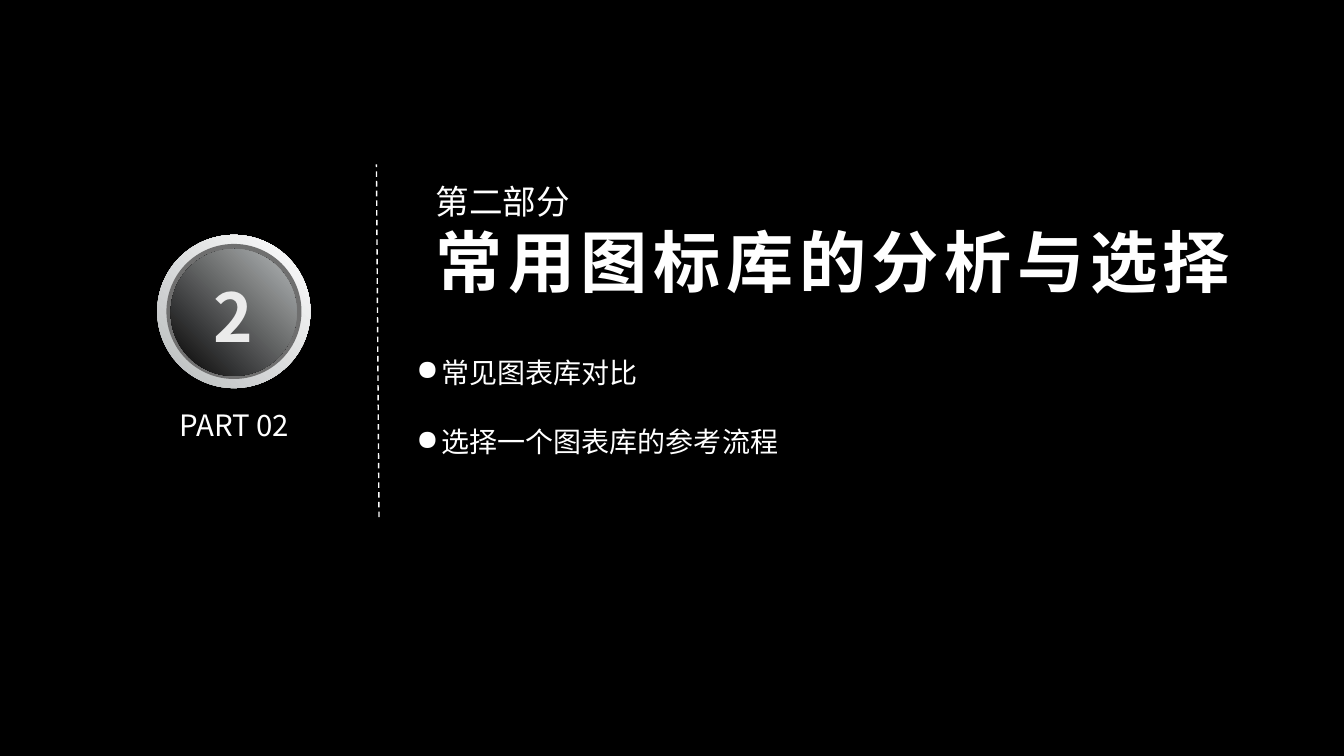
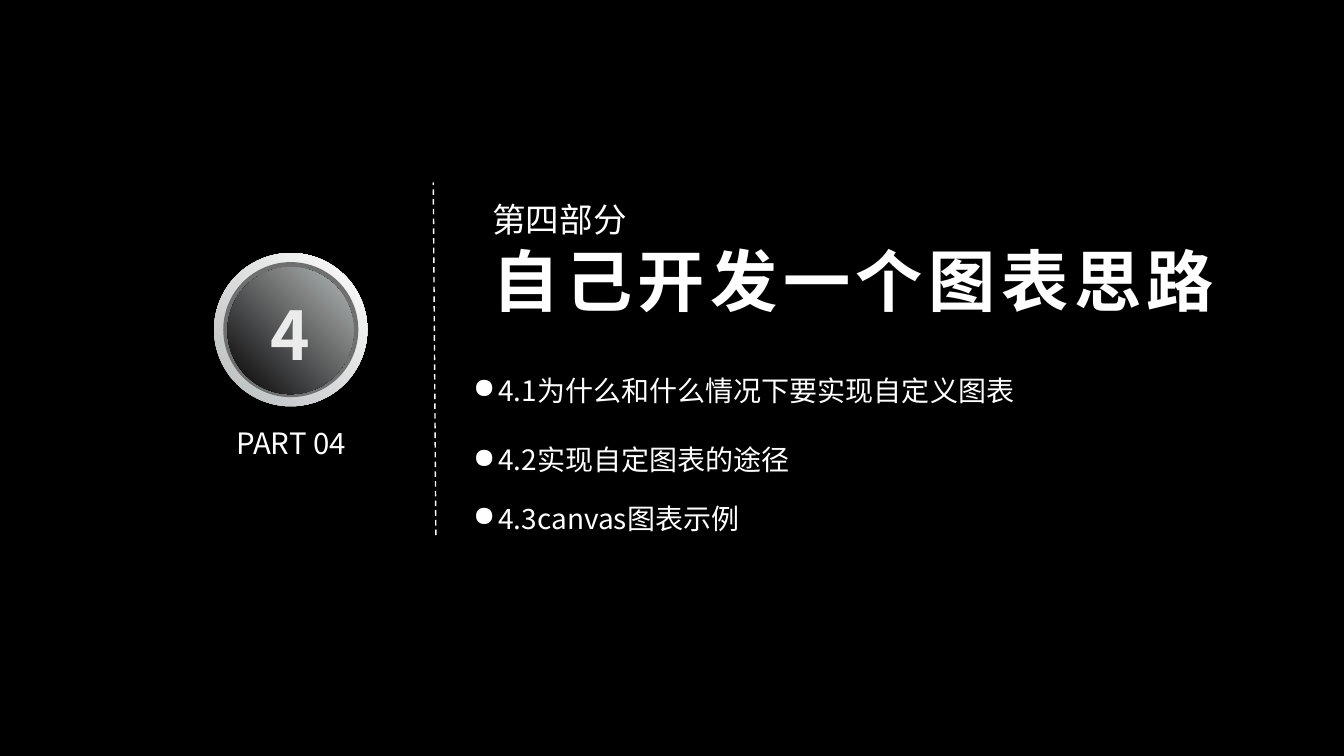
from dataclasses import dataclass

from lxml import etree
from pptx import Presentation
from pptx import util as u
from pptx.dml.color import RGBColor
from pptx.enum import dml, shapes, text
from pptx.oxml.ns import qn

# Shared look
COLOURS = {
    "black": "000000",
    "white": "FFFFFF",
    "silver": "B8BBBC",
    "rim": "6F6F6F",
    "digit": "EBEBEB",
}
FONT = "Noto Sans CJK SC"
WIDTH, HEIGHT = u.Inches(13.33), u.Inches(7.5)
TITLE_ONLY = 5
TEXT_COLUMN = 19.28


@dataclass(frozen=True)
class Area:
    """Percentages of the slide's width and height."""
    left: float
    top: float
    width: float = 0
    height: float = 0

    def inside(self, origin: "Area") -> "Area":
        return Area(origin.left + self.left, origin.top + self.top,
                    self.width, self.height)

    def lengths(self) -> tuple[int, int, int, int]:
        return (round(WIDTH * self.left / 100), round(HEIGHT * self.top / 100),
                round(WIDTH * self.width / 100), round(HEIGHT * self.height / 100))


@dataclass(frozen=True)
class Disc:
    area: Area
    colours: tuple[str, ...]


@dataclass(frozen=True)
class Style:
    size: int
    colour: str = "white"
    bold: bool = False
    spacing: int = 0
    align: text.PP_ALIGN = text.PP_ALIGN.LEFT


@dataclass(frozen=True)
class Section:
    origin: Area
    number: int
    label: str
    heading: str
    topics: tuple[str, ...]


# Places are relative to the medal's top left corner
DISCS = (
    Disc(Area(0, 0, 11.4, 20.27), ("silver", "white")),
    Disc(Area(0.68, 1.2, 10.05, 17.87), ("rim",)),
    Disc(Area(1, 1.87, 9.38, 16.8), ("black", "silver")),
)
DIGIT = Area(1, 4.4, 9.38, 12.53)
CAPTION = Area(0.78, 22.67, 9.9, 4.8)
DIVIDER = (Area(16.5, 37.33), Area(16.31, -9.33))
TOPIC_TOPS = (15.87, 25.07, 32.8)

CENTRE = text.PP_ALIGN.CENTER
DIGIT_STYLE = Style(48, "digit", bold=True, align=CENTRE)
CAPTION_STYLE = Style(21, align=CENTRE)
LABEL_STYLE = Style(24)
HEADING_STYLE = Style(48, bold=True, spacing=400)
TOPIC_STYLE = Style(20)

SECTIONS = (
    Section(Area(11.7, 31.07), 2, "第二部分", "常用图标库的分析与选择",
            ("常见图表库对比", "选择一个图表库的参考流程")),
    Section(Area(15.93, 33.47), 4, "第四部分", "自己开发一个图表思路",
            ("4.1为什么和什么情况下要实现自定义图表", "4.2实现自定图表的途径",
             "4.3canvas图表示例")),
)


def colour(name: str) -> RGBColor:
    return RGBColor.from_string(COLOURS[name])


# Text
def write(paragraph, words: str, style: Style) -> None:
    paragraph.text = words
    paragraph.alignment = style.align
    paragraph.line_spacing = 1.0
    paragraph.space_before = u.Pt(0)
    font = paragraph.font
    font.size, font.bold, font.name = u.Pt(style.size), style.bold, FONT
    font.color.rgb = colour(style.colour)
    defaults = paragraph._p.pPr.find(qn("a:defRPr"))
    etree.SubElement(defaults, qn("a:ea")).set("typeface", FONT)
    if style.spacing:
        defaults.set("spc", str(style.spacing))


def indent(paragraph, left: float, first: float = 0) -> None:
    properties = paragraph._p.get_or_add_pPr()
    properties.set("marL", str(u.Inches(left)))
    properties.set("indent", str(u.Inches(first)))


def add_bullet(paragraph) -> None:
    indent(paragraph, 0.25, -0.25)
    bullet = etree.Element(qn("a:buChar"))
    bullet.set("char", "●")
    paragraph._p.pPr.find(qn("a:defRPr")).addprevious(bullet)


def set_frame(frame, across: float = 0, down: float = 0, wrap: bool = True) -> None:
    frame.auto_size = text.MSO_AUTO_SIZE.NONE
    frame.word_wrap = wrap
    frame.vertical_anchor = text.MSO_ANCHOR.MIDDLE
    frame.margin_left = frame.margin_right = u.Inches(across)
    frame.margin_top = frame.margin_bottom = u.Inches(down)


def add_text(parent, area: Area, words: str, style: Style):
    box = parent.add_textbox(*area.lengths())
    set_frame(box.text_frame)
    paragraph = box.text_frame.paragraphs[0]
    write(paragraph, words, style)
    return paragraph


# Parts of a section page
def add_disc(parent, disc: Disc, origin: Area) -> None:
    oval = parent.add_shape(shapes.MSO_SHAPE.OVAL, *disc.area.inside(origin).lengths())
    oval.shadow.inherit = False
    oval.line.fill.background()
    if len(disc.colours) == 1:
        oval.fill.solid()
        oval.fill.fore_color.rgb = colour(disc.colours[0])
        return
    oval.fill.gradient()
    oval.fill.gradient_angle = 45
    for position, (stop, name) in enumerate(zip(oval.fill.gradient_stops, disc.colours)):
        stop.position = position
        stop.color.rgb = colour(name)


def add_medal(page, section: Section) -> None:
    medal = page.shapes.add_group_shape().shapes
    for disc in DISCS:
        add_disc(medal, disc, section.origin)
    add_text(medal, DIGIT.inside(section.origin), str(section.number), DIGIT_STYLE)


def add_divider(page, origin: Area) -> None:
    start, end = (point.inside(origin).lengths()[:2] for point in DIVIDER)
    divider = page.shapes.add_connector(shapes.MSO_CONNECTOR.STRAIGHT, *start, *end)
    divider.line.color.rgb = colour("white")
    divider.line.width = u.Pt(1)
    divider.line.dash_style = dml.MSO_LINE.DASH
    etree.SubElement(divider._element.spPr, qn("a:effectLst"))


def set_title(page, section: Section) -> None:
    title = page.shapes.title
    # The box is as wide as its heading plus the margins
    area = Area(TEXT_COLUMN, -9.07, 5.48 * len(section.heading) + 1.92, 19.73)
    title.left, title.top, title.width, title.height = area.inside(section.origin).lengths()
    frame = title.text_frame
    set_frame(frame, 0.13, 0.07, wrap=False)
    label = frame.paragraphs[0]
    write(label, section.label, LABEL_STYLE)
    indent(label, 0.06)
    write(frame.add_paragraph(), section.heading, HEADING_STYLE)


def add_section(deck, section: Section) -> None:
    page = deck.slides.add_slide(deck.slide_layouts[TITLE_ONLY])
    add_text(page.shapes, CAPTION.inside(section.origin),
             f"PART {section.number:02}", CAPTION_STYLE)
    add_medal(page, section)
    add_divider(page, section.origin)
    set_title(page, section)
    for top, topic in zip(TOPIC_TOPS, section.topics):
        area = Area(TEXT_COLUMN, top, 53.63, 4.53).inside(section.origin)
        add_bullet(add_text(page.shapes, area, topic, TOPIC_STYLE))


def main() -> None:
    deck = Presentation()
    deck.slide_width, deck.slide_height = WIDTH, HEIGHT
    backdrop = deck.slide_master.background.fill
    backdrop.solid()
    backdrop.fore_color.rgb = colour("black")
    for section in SECTIONS:
        add_section(deck, section)
    deck.save("out.pptx")


if __name__ == "__main__":
    main()
